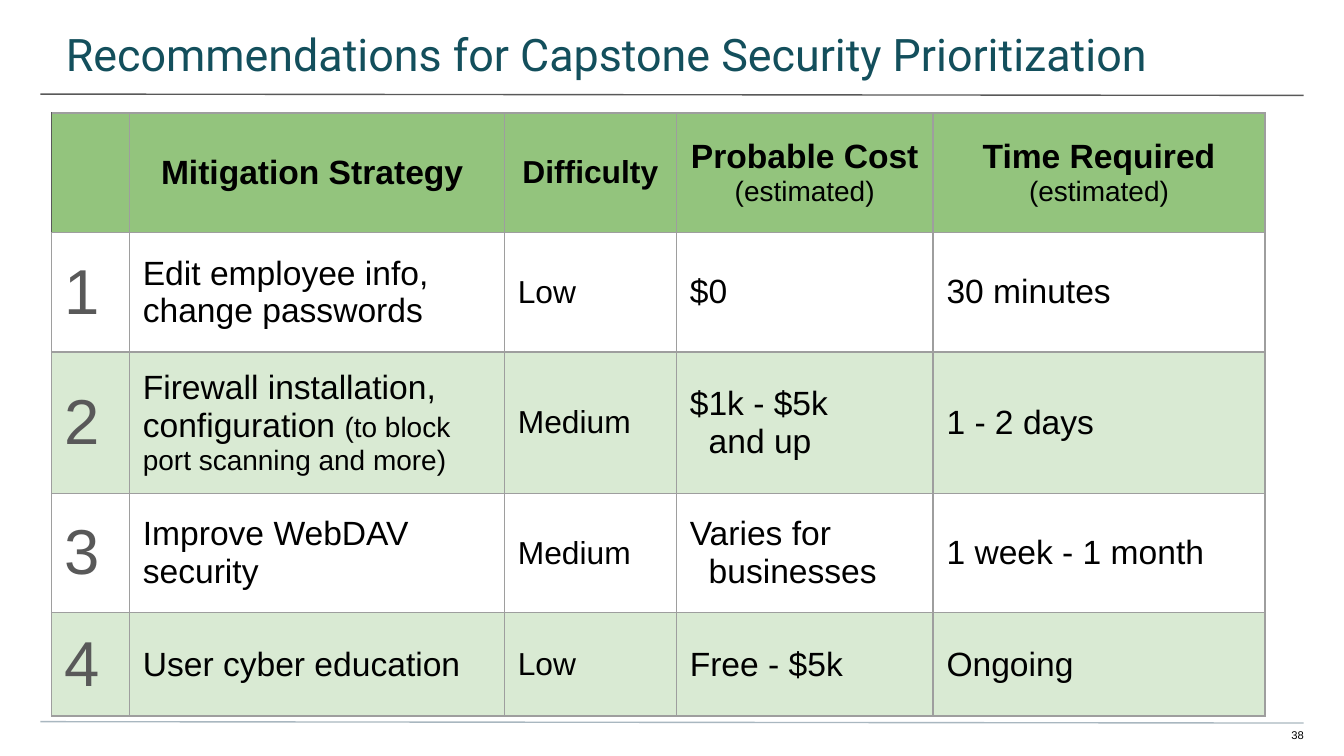
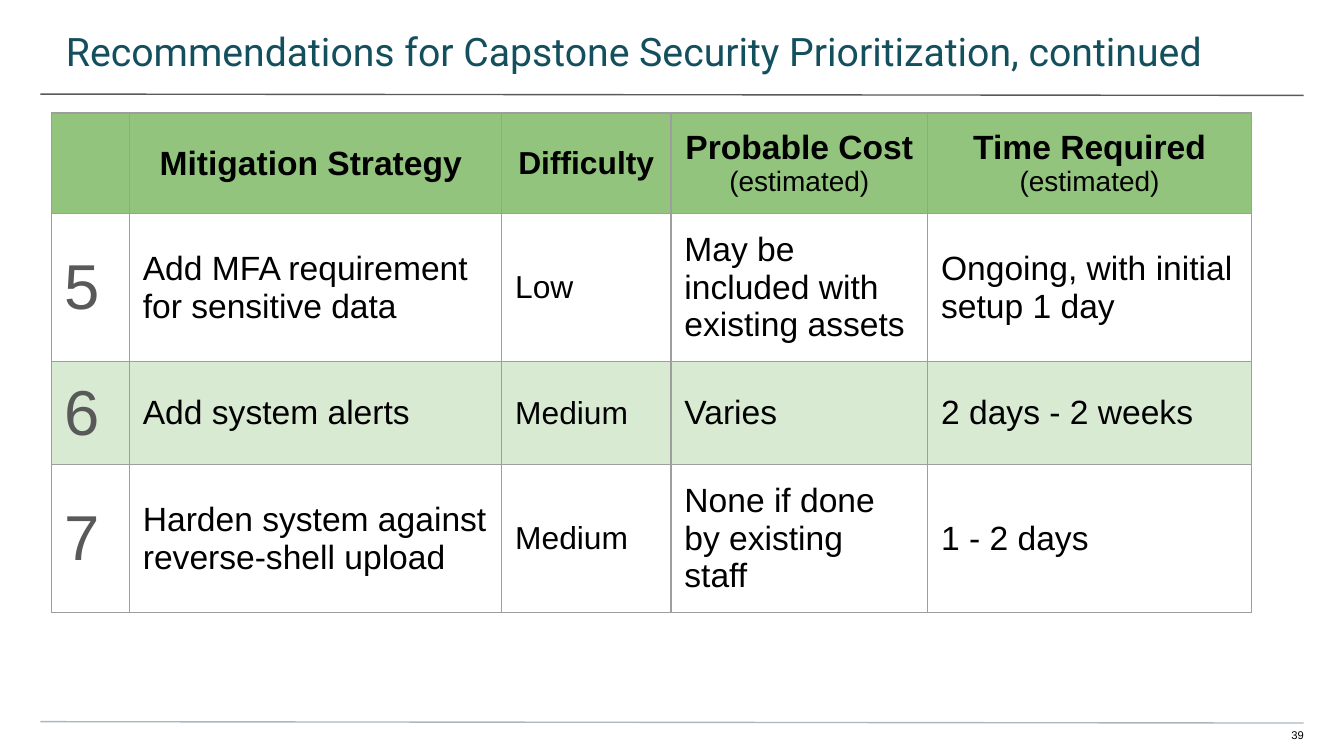
from pptx import Presentation
from pptx.dml.color import RGBColor
from pptx.enum.shapes import MSO_CONNECTOR
from pptx.enum.text import MSO_ANCHOR, MSO_AUTO_SIZE, PP_ALIGN
from pptx.oxml.ns import qn
from pptx.util import Inches, Pt
from lxml.etree import SubElement

COLUMNS, ROWS = 100, 56.25
WIDTH = Inches(10)
HEIGHT = WIDTH * 9 // 16

TEAL, INK, GRAY = "134F5C", "000000", "595959"
RULE_BLUE, GRID_GRAY = "A9B7C0", "9E9E9E"
HEADER_GREEN, BAND_GREEN = "93C47D", "D9EAD3"

HEADINGS = ["", "Mitigation Strategy ", "Difficulty",
            "Probable Cost (estimated)", "Time Required (estimated)"]
COLUMN_SIZES = [34, 18, 17, 18, 18]
NOTE_SIZE = 15
HANG = 1.4
FRAME_SIDE = 32.8

PRIORITIES = [
    ["1", "Edit employee info, \nchange passwords", "Low", "$0", "30 minutes"],
    ["2", "Firewall installation, configuration (to block port scanning and more)",
     "Medium", "$1k - $5k \nand up", "1 - 2 days"],
    ["3", "Improve WebDAV security", "Medium", "Varies for \nbusinesses",
     "1 week - 1 month"],
    ["4", "User cyber education", "Low", "Free - $5k", "Ongoing"],
]
MORE_PRIORITIES = [
    ["5", "Add MFA requirement for sensitive data", "Low",
     "May be included with existing assets", "Ongoing, with initial setup 1 day"],
    ["6", "Add system alerts", "Medium", "Varies", "2 days - 2 weeks"],
    ["7", "Harden system against reverse-shell upload", "Medium",
     "None if done by existing staff", "1 - 2 days"],
]


def col(count):
    return round(WIDTH * count / COLUMNS)


def row(count):
    return round(HEIGHT * count / ROWS)


def color(code):
    return RGBColor.from_string(code)


def style(run, size, code, font="Arial", bold=False):
    run.font.name = font
    run.font.size = Pt(size)
    run.font.bold = bold
    run.font.color.rgb = color(code)


def set_margins(frame, left, top, right, bottom):
    frame.margin_left, frame.margin_right = col(left), col(right)
    frame.margin_top, frame.margin_bottom = row(top), row(bottom)


def add_title(slide, text, size):
    title = slide.shapes.title
    title.left, title.top = col(-0.1), row(0)
    title.width, title.height = col(100.3), row(5.8)
    frame = title.text_frame
    frame.text = text
    frame.auto_size = MSO_AUTO_SIZE.NONE
    frame.vertical_anchor = MSO_ANCHOR.TOP
    set_margins(frame, 5, 2, 3, 1)
    frame.paragraphs[0].alignment = PP_ALIGN.LEFT
    style(frame.paragraphs[0].runs[0], size, TEAL, "Roboto")


def add_rule(slide, top, code):
    rule = slide.shapes.add_connector(
        MSO_CONNECTOR.STRAIGHT, col(3), row(top), col(97), row(top + 0.1))
    rule.line.color.rgb = color(code)
    rule.line.width = Pt(0.75)
    SubElement(rule._element.spPr, qn("a:effectLst"))


def add_page_number(slide, number):
    box = slide.shapes.add_textbox(col(94.1), row(54.2), col(2.9), row(1.2))
    frame = box.text_frame
    frame.word_wrap = True
    frame.text = str(number)
    set_margins(frame, 0, 0, 0, 1)
    frame.paragraphs[0].alignment = PP_ALIGN.RIGHT
    style(frame.paragraphs[0].runs[0], 6, INK)


def add_borders(cell, left_code):
    properties = cell._tc.get_or_add_tcPr()
    for side in "LRTB":
        edge = SubElement(properties, qn(f"a:ln{side}"), w=str(Pt(0.75)))
        fill = SubElement(edge, qn("a:solidFill"))
        SubElement(fill, qn("a:srgbClr"),
                   val=left_code if side == "L" else GRID_GRAY)


def write_cell(cell, text, size, code, heading):
    cell.vertical_anchor = MSO_ANCHOR.MIDDLE
    set_margins(cell, 1, 1, 1, 1)
    if not text:
        return
    main_text, bracket, note = text.partition("(")
    paragraph = cell.text_frame.paragraphs[0]
    paragraph.text = main_text
    paragraph.alignment = PP_ALIGN.CENTER if heading else PP_ALIGN.LEFT
    for run in paragraph.runs:
        style(run, size, code, bold=heading)
    if note:
        aside = paragraph.add_run()
        aside.text = bracket + note
        style(aside, NOTE_SIZE, code)


def hang_lines(cell):
    properties = cell.text_frame.paragraphs[0]._p.get_or_add_pPr()
    properties.set("marL", str(col(HANG)))
    properties.set("indent", str(-col(HANG)))


def add_priorities(slide, priorities, widths, heights, corner_code=GRID_GRAY):
    lines = [HEADINGS] + priorities
    frame = slide.shapes.add_table(
        len(lines), len(widths), col(3.83), row(8.4),
        col(FRAME_SIDE), row(FRAME_SIDE))
    table = frame.table
    table.first_row = table.horz_banding = False
    for column, width in zip(table.columns, widths):
        column.width = col(width)
    for r, (line, height) in enumerate(zip(lines, heights)):
        table.rows[r].height = row(height)
        for c, text in enumerate(line):
            cell = table.cell(r, c)
            add_borders(cell, corner_code if r == c == 0 else GRID_GRAY)
            if r % 2:
                cell.fill.background()
            else:
                cell.fill.solid()
                cell.fill.fore_color.rgb = color(BAND_GREEN if r else HEADER_GREEN)
            write_cell(cell, text, COLUMN_SIZES[c], INK if c else GRAY, r == 0)
            if c == 3 and "\n" in text:
                hang_lines(cell)
    frame.width, frame.height = col(FRAME_SIDE), row(FRAME_SIDE)


def add_page(deck, title, title_size, number):
    slide = deck.slides.add_slide(deck.slide_layouts[5])
    add_rule(slide, 7, GRAY)
    add_rule(slide, 53.7, RULE_BLUE)
    add_title(slide, title, title_size)
    add_page_number(slide, number)
    return slide


def main():
    deck = Presentation()
    deck.slide_width, deck.slide_height = WIDTH, HEIGHT
    topic = "Recommendations for Capstone Security Prioritization"

    first = add_page(deck, topic, 24, 38)
    add_priorities(first, PRIORITIES, [5.8, 27.9, 12.8, 19.1, 24.7],
                   [8.9] * 4 + [7.6], corner_code=GRAY)

    second = add_page(deck, topic + ", continued", 21, 39)
    add_priorities(second, MORE_PRIORITIES, [5.8, 27.7, 12.6, 19.1, 24.1],
                   [5.9, 7.9, 5.9, 5.9])

    deck.save("out.pptx")


if __name__ == "__main__":
    main()
